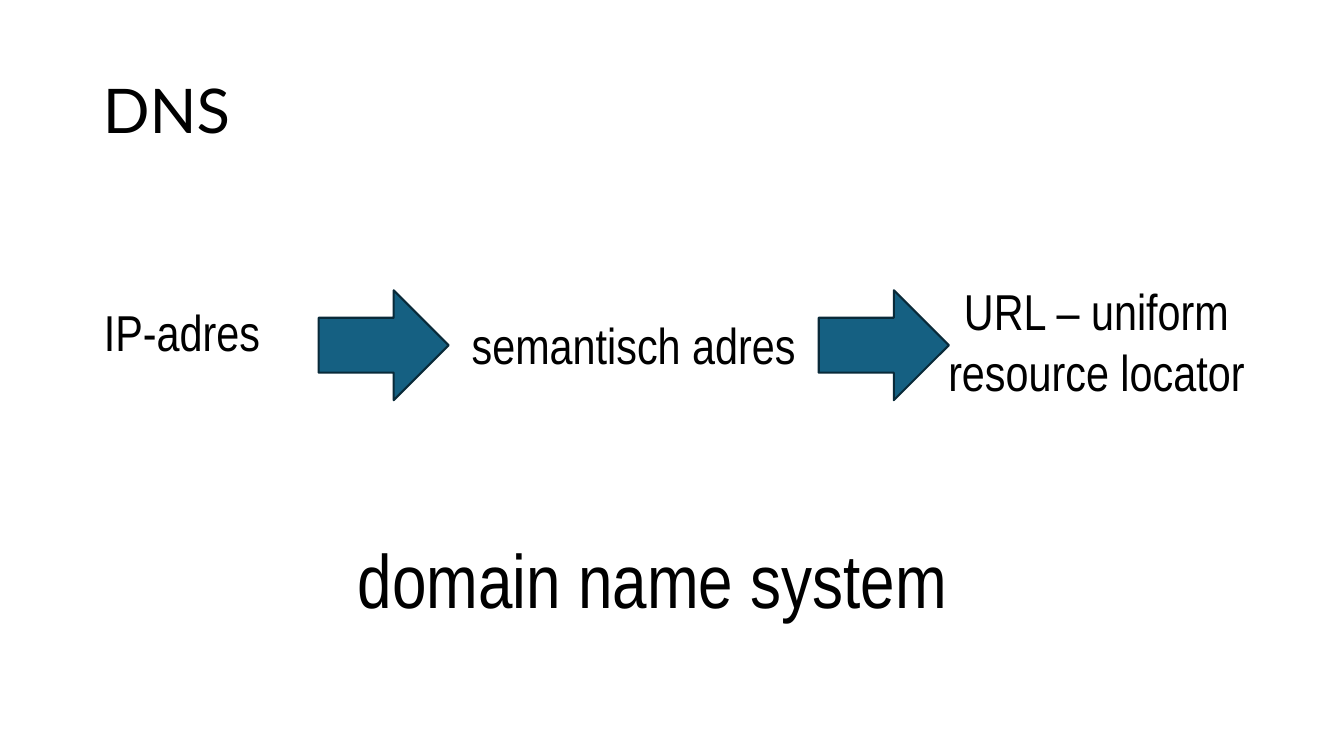
from pptx import Presentation, util as u
from pptx.dml.color import RGBColor
from pptx.enum import shapes, text

BLACK = RGBColor(0x00, 0x00, 0x00)
BLUE = RGBColor(0x15, 0x60, 0x82)
NAVY = RGBColor(0x09, 0x2A, 0x39)


class DnsSlide:
    title_font = "Lato"
    label_font = "Arial Narrow"

    def __init__(self, presentation):
        # Layout 5 holds only a title
        self.slide = presentation.slides.add_slide(presentation.slide_layouts[5])

    def place(self, shape, left, top, width, height):
        shape.left, shape.top = u.Inches(left), u.Inches(top)
        shape.width, shape.height = u.Inches(width), u.Inches(height)

    def add_words(self, shape, words, size, font, align, anchor):
        frame = shape.text_frame
        frame.word_wrap = True
        frame.auto_size = text.MSO_AUTO_SIZE.NONE
        frame.vertical_anchor = anchor
        paragraph = frame.paragraphs[0]
        paragraph.alignment = align
        run = paragraph.add_run()
        run.text = words
        run.font.size = u.Pt(size)
        run.font.name = font
        run.font.color.rgb = BLACK
        return paragraph

    def title(self, words, *box):
        shape = self.slide.shapes.title
        self.place(shape, *box)
        paragraph = self.add_words(shape, words, 44, self.title_font,
                                   text.PP_ALIGN.LEFT, text.MSO_ANCHOR.MIDDLE)
        paragraph.line_spacing = 0.9

    def label(self, words, *box, size=36, anchor=text.MSO_ANCHOR.MIDDLE):
        shape = self.slide.shapes.add_textbox(*map(u.Inches, box))
        self.add_words(shape, words, size, self.label_font,
                       text.PP_ALIGN.CENTER, anchor)

    def arrow(self, *box):
        shape = self.slide.shapes.add_shape(
            shapes.MSO_SHAPE.RIGHT_ARROW, *map(u.Inches, box))
        shape.shadow.inherit = False
        shape.fill.solid()
        shape.fill.fore_color.rgb = BLUE
        shape.line.color.rgb = NAVY
        shape.line.width = u.Pt(1.5)


def main():
    presentation = Presentation()
    presentation.slide_width = u.Inches(13.33)
    presentation.slide_height = u.Inches(7.5)
    dns = DnsSlide(presentation)

    # Title and the name written out
    dns.title("DNS", 0.92, 0.4, 11.5, 1.45)
    dns.label("domain name system", 3.27, 5.24, 6.4, 1.01,
              size=54, anchor=text.MSO_ANCHOR.TOP)

    # Steps from address to URL
    dns.label("IP-adres", 0.04, 2.36, 3.53, 1.86)
    dns.label("semantisch adres", 4.55, 2.49, 3.47, 1.86)
    dns.label("URL – uniform resource locator", 9.14, 2.45, 3.47, 1.86)

    # Arrows between the steps
    for left in (3.16, 8.12):
        dns.arrow(left, 2.88, 1.29, 1.09)

    presentation.save("out.pptx")


if __name__ == "__main__":
    main()
